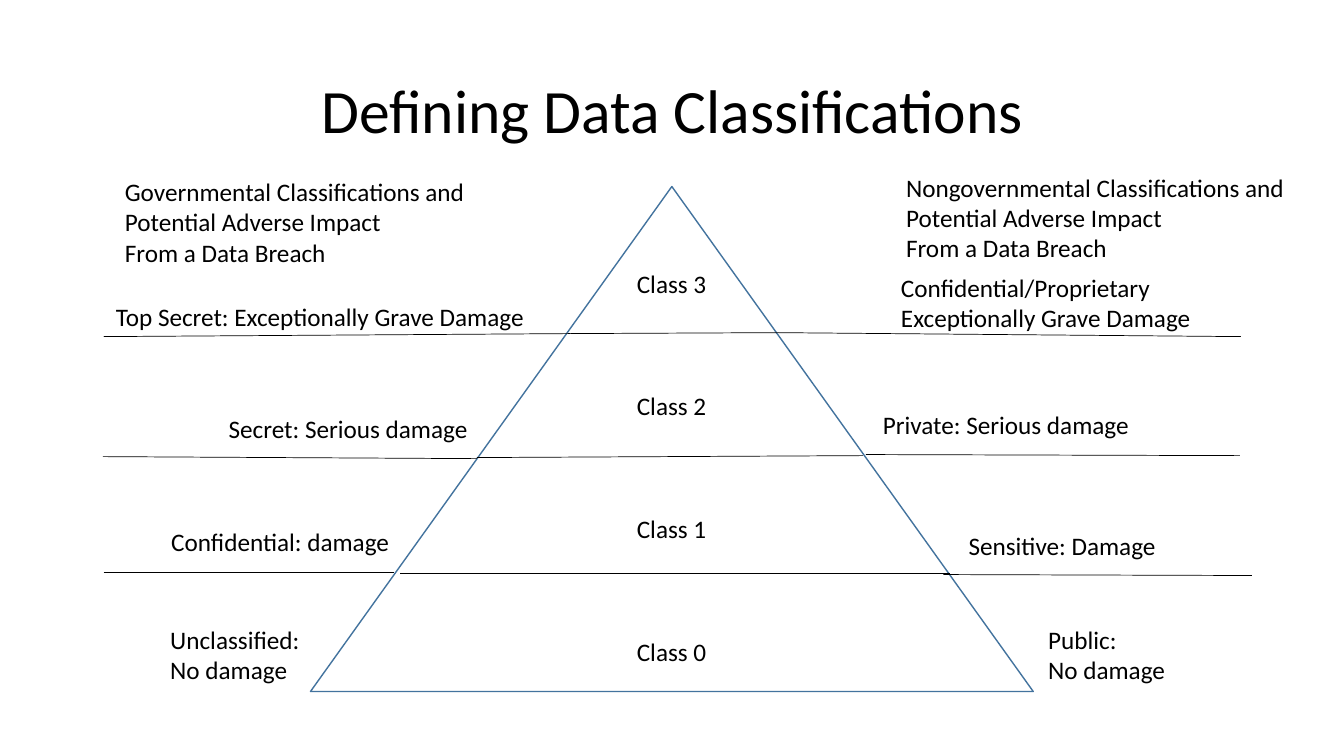
from pptx import Presentation
from pptx import util as u
from pptx.dml.color import RGBColor
from pptx.enum import shapes, text
from pptx.oxml.ns import qn
from lxml import etree

deck = Presentation()
deck.slide_width, deck.slide_height = u.Inches(13.333), u.Inches(7.5)
page = deck.slides.add_slide(deck.slide_layouts[6]).shapes

# All lengths are percentages of the slide's width and height
W, H = deck.slide_width / 100, deck.slide_height / 100
LINE = 4.04  # height of one 18 pt line
PAD = 1.33  # top and bottom insets of a text box


def color(code):
    return RGBColor.from_string(code)


def write(x, y, w, h, rows, size=18, wrap=False, **form):
    box = page.add_textbox(int(x * W), int(y * H), int(w * W), int(h * H))
    frame = box.text_frame
    frame.word_wrap = wrap
    frame.text = "\n".join(rows)
    for par in frame.paragraphs:
        look = dict(name="Calibri", size=u.Pt(size))
        for key, val in look.items():
            setattr(par.font, key, val)
        par.font.color.rgb = color("000000")
        for key, val in form.items():
            setattr(par, key, val)
    return frame


# Title
title = write(6.9, 5.33, 86.25, 19.33, ["Defining Data Classifications"], 44, True,
              alignment=text.PP_ALIGN.CENTER, line_spacing=0.9)
title.vertical_anchor = text.MSO_ANCHOR.MIDDLE

# Pyramid
cone = page.add_shape(shapes.MSO_SHAPE.ISOSCELES_TRIANGLE,
                      int(23.1 * W), int(24.67 * H), int(53.78 * W), int(66.8 * H))
cone.shadow.inherit = False
cone.fill.solid()
cone.fill.fore_color.rgb = color("FFFFFF")
cone.line.color.rgb = color("43739E")
cone.line.width = u.Pt(1)

# Class names, three lines apart
ranks = write(46.65, 34.8, 6.75, PAD + 13 * LINE, [f"Class {n}" for n in (3, 2, 1, 0)])
for par in ranks.paragraphs[1:]:
    par.space_before = u.Pt(66)

# Dividers: left, middle and right piece of each row
rules = [
    (7.72, 44.53, 42.45, 44.13), (42.45, 44.13, 57.9, 44), (57.9, 44, 92.33, 44.53),
    (7.65, 60.4, 35.48, 60.67), (35.48, 60.53, 64.2, 60.27), (64.43, 60.13, 92.25, 60.27),
    (7.72, 75.73, 29.33, 75.73), (29.78, 75.87, 70.65, 75.87), (70.2, 76, 93.15, 76.13),
]
for x1, y1, x2, y2 in rules:
    rule = page.add_connector(shapes.MSO_CONNECTOR.STRAIGHT,
                              int(x1 * W), int(y1 * H), int(x2 * W), int(y2 * H))
    rule.line.color.rgb = color("000000")
    rule.line.width = u.Pt(0.5)
    etree.SubElement(rule._element.spPr, qn("a:effectLst"))

# Notes: governmental on the left, nongovernmental on the right
head = ["Potential Adverse Impact", "From a Data Breach"]
notes = [
    (8.55, 22.67, 27.08, ["Governmental Classifications and"] + head),
    (7.88, 39.2, 32.25, ["Top Secret: Exceptionally Grave Damage"]),
    (16.28, 54, 19.5, ["Secret: Serious damage"]),
    (12, 68.93, 17.93, ["Confidential: damage"]),
    (11.93, 81.87, 11.25, ["Unclassified:", "No damage"]),
    (66.68, 22.13, 29.93, ["Nongovernmental Classifications and"] + head),
    (66.3, 35.33, 23.33, ["Confidential/Proprietary", "Exceptionally Grave Damage"]),
    (64.95, 53.47, 20.03, ["Private: Serious damage"]),
    (71.33, 69.47, 15.6, ["Sensitive: Damage"]),
    (77.25, 81.87, 10.35, ["Public:", "No damage"]),
]
for x, y, w, rows in notes:
    write(x, y, w, PAD + len(rows) * LINE, rows)

deck.save("out.pptx")
